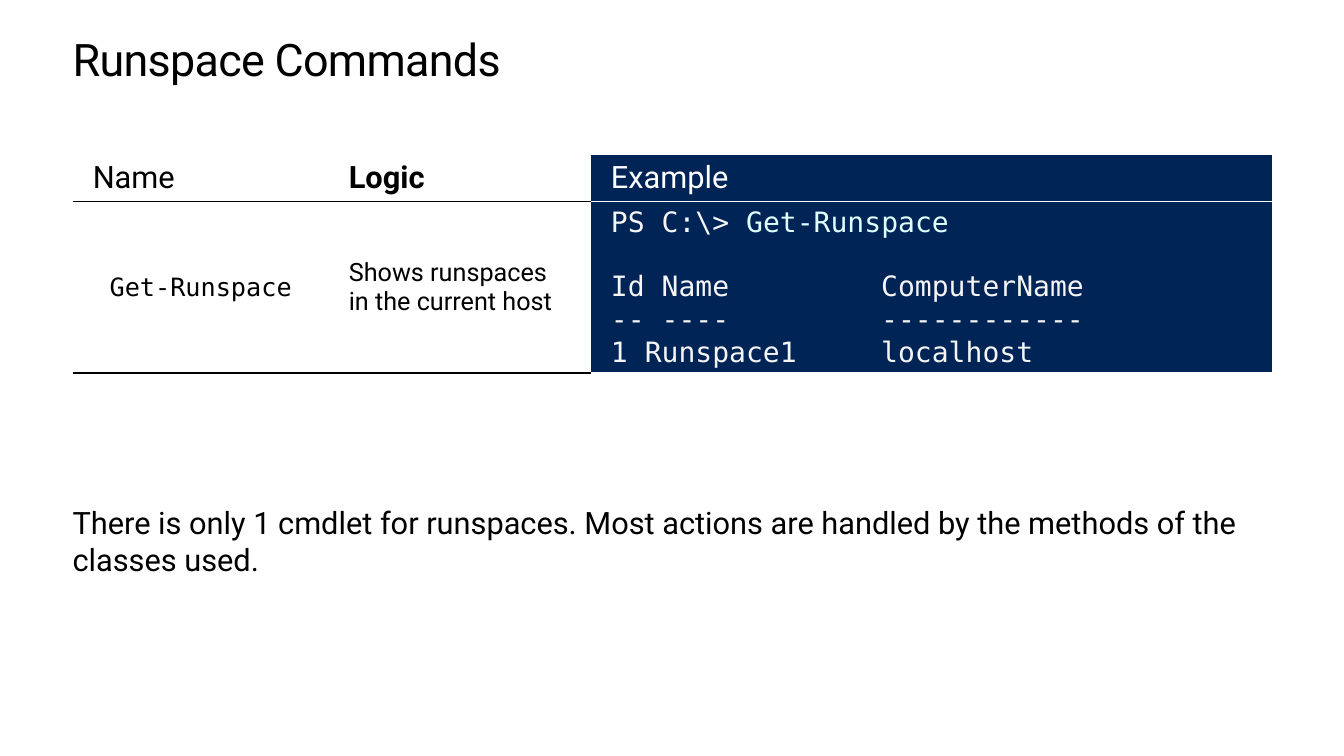
from dataclasses import dataclass

from lxml import etree
from pptx import Presentation
from pptx.dml.color import RGBColor
from pptx.enum import text as text_enum
from pptx.oxml import ns
from pptx.util import Inches, Pt

BLACK = RGBColor(0x00, 0x00, 0x00)
WHITE = RGBColor(0xFF, 0xFF, 0xFF)
NAVY = RGBColor(0x01, 0x24, 0x56)
CONSOLE_GREY = RGBColor(0xF5, 0xF5, 0xF5)
CONSOLE_CYAN = RGBColor(0xE0, 0xFF, 0xFF)

SANS = "Roboto"
MONO = "DejaVu Sans Mono"

LEFT = Inches(0.72)
WIDTH = Inches(11.9)
COLUMN_WIDTHS = (2.54, 2.6, 6.76)
ROW_HEIGHTS = (0.46, 1.7)
COMPUTER_NAME_TAB = Inches(2.68)
OUTPUT_GAP = 23


@dataclass(frozen=True)
class Run:
    text: str
    size: float = 22
    font: str = SANS
    color: RGBColor = BLACK
    bold: bool = False


@dataclass(frozen=True)
class Line:
    runs: tuple[Run, ...]
    align: text_enum.PP_ALIGN = text_enum.PP_ALIGN.LEFT
    space_before: float = 0
    tab: int | None = None


@dataclass(frozen=True)
class TableCell:
    lines: tuple[Line, ...]
    fill: RGBColor = WHITE
    rule: RGBColor = BLACK
    right_margin: float = 0.2


def line(text: str, *, align=text_enum.PP_ALIGN.LEFT, **run_format) -> Line:
    return Line((Run(text, **run_format),), align)


def console_line(*parts: tuple[str, RGBColor], space_before: float = 0) -> Line:
    runs = tuple(Run(text, 20, MONO, color) for text, color in parts)
    return Line(runs, space_before=space_before, tab=COMPUTER_NAME_TAB)


CONSOLE = (
    console_line(("PS C:\\> ", CONSOLE_GREY), ("Get-Runspace", CONSOLE_CYAN)),
    console_line(("Id Name\tComputerName", CONSOLE_GREY), space_before=OUTPUT_GAP),
    console_line(("-- ----\t------------", CONSOLE_GREY)),
    console_line(("1 Runspace1\tlocalhost", CONSOLE_GREY)),
)

ROWS = (
    (
        TableCell((line("Name"),)),
        TableCell((line("Logic", bold=True),)),
        TableCell((line("Example", color=WHITE),), NAVY, WHITE, 0),
    ),
    (
        TableCell((line("Get-Runspace", size=18, font=MONO,
                        align=text_enum.PP_ALIGN.CENTER),)),
        TableCell((line("Shows runspaces in the current host", size=18),)),
        TableCell(CONSOLE, NAVY, WHITE, 0),
    ),
)


def write_lines(frame, lines: tuple[Line, ...]) -> None:
    frame.word_wrap = True
    for index, content in enumerate(lines):
        paragraph = frame.paragraphs[0] if index == 0 else frame.add_paragraph()
        paragraph.alignment = content.align
        paragraph.space_before = Pt(content.space_before)
        if content.tab is not None:
            properties = paragraph._p.get_or_add_pPr()
            tabs = etree.SubElement(properties, ns.qn("a:tabLst"))
            etree.SubElement(tabs, ns.qn("a:tab"), pos=str(content.tab), algn="l")
        for part in content.runs:
            run = paragraph.add_run()
            run.text = part.text
            run.font.size = Pt(part.size)
            run.font.name = part.font
            run.font.bold = part.bold
            run.font.color.rgb = part.color


def fit_frame(frame) -> None:
    """Remove the insets and let the box grow with its text."""
    frame.margin_left = frame.margin_right = 0
    frame.margin_top = frame.margin_bottom = 0
    frame.vertical_anchor = text_enum.MSO_ANCHOR.TOP
    frame.auto_size = text_enum.MSO_AUTO_SIZE.SHAPE_TO_FIT_TEXT


def set_borders(cell, colors: dict[str, RGBColor | None]) -> None:
    """Draw the sides that have a colour and hide the others."""
    properties = cell._tc.get_or_add_tcPr()
    for side in ("L", "R", "T", "B"):
        border = etree.SubElement(properties, ns.qn(f"a:ln{side}"), w=str(Pt(1)))
        color = colors.get(side)
        if color is None:
            etree.SubElement(border, ns.qn("a:noFill"))
        else:
            fill = etree.SubElement(border, ns.qn("a:solidFill"))
            etree.SubElement(fill, ns.qn("a:srgbClr"), val=str(color))


def add_title(slide, text: str) -> None:
    title = slide.shapes.title
    title.left, title.top = LEFT, Inches(0.35)
    title.width, title.height = WIDTH, Inches(0.5)
    fit_frame(title.text_frame)
    write_lines(title.text_frame, (line(text, size=32),))
    paragraph = title.text_frame.paragraphs[0]
    paragraph.line_spacing = Pt(36.2)
    paragraph.runs[0].font._element.set("spc", "-50")


def add_command_table(slide) -> None:
    shape = slide.shapes.add_table(
        len(ROWS), len(COLUMN_WIDTHS), LEFT, Inches(1.54),
        WIDTH, Inches(sum(ROW_HEIGHTS)))
    table = shape.table
    table.first_row = table.horz_banding = False
    for column, width in zip(table.columns, COLUMN_WIDTHS):
        column.width = Inches(width)
    for row_index, (row, height) in enumerate(zip(ROWS, ROW_HEIGHTS)):
        table.rows[row_index].height = Inches(height)
        for column_index, content in enumerate(row):
            cell = table.cell(row_index, column_index)
            cell.margin_left = Inches(0.2)
            cell.margin_right = Inches(content.right_margin)
            cell.margin_top = cell.margin_bottom = 0
            cell.vertical_anchor = text_enum.MSO_ANCHOR.MIDDLE
            top = content.rule if row_index else None
            set_borders(cell, {"T": top, "B": content.rule})
            cell.fill.solid()
            cell.fill.fore_color.rgb = content.fill
            write_lines(cell.text_frame, content.lines)


def add_note(slide, text: str) -> None:
    box = slide.shapes.add_textbox(LEFT, Inches(5), WIDTH, Inches(0.74))
    fit_frame(box.text_frame)
    write_lines(box.text_frame, (line(text),))


def main() -> None:
    presentation = Presentation()
    presentation.slide_width = Inches(13.33)
    presentation.slide_height = Inches(7.5)
    slide = presentation.slides.add_slide(presentation.slide_layouts[5])
    add_title(slide, "Runspace Commands")
    add_command_table(slide)
    add_note(slide, "There is only 1 cmdlet for runspaces. Most actions are "
                    "handled by the methods of the classes used.")
    presentation.save("out.pptx")


if __name__ == "__main__":
    main()
